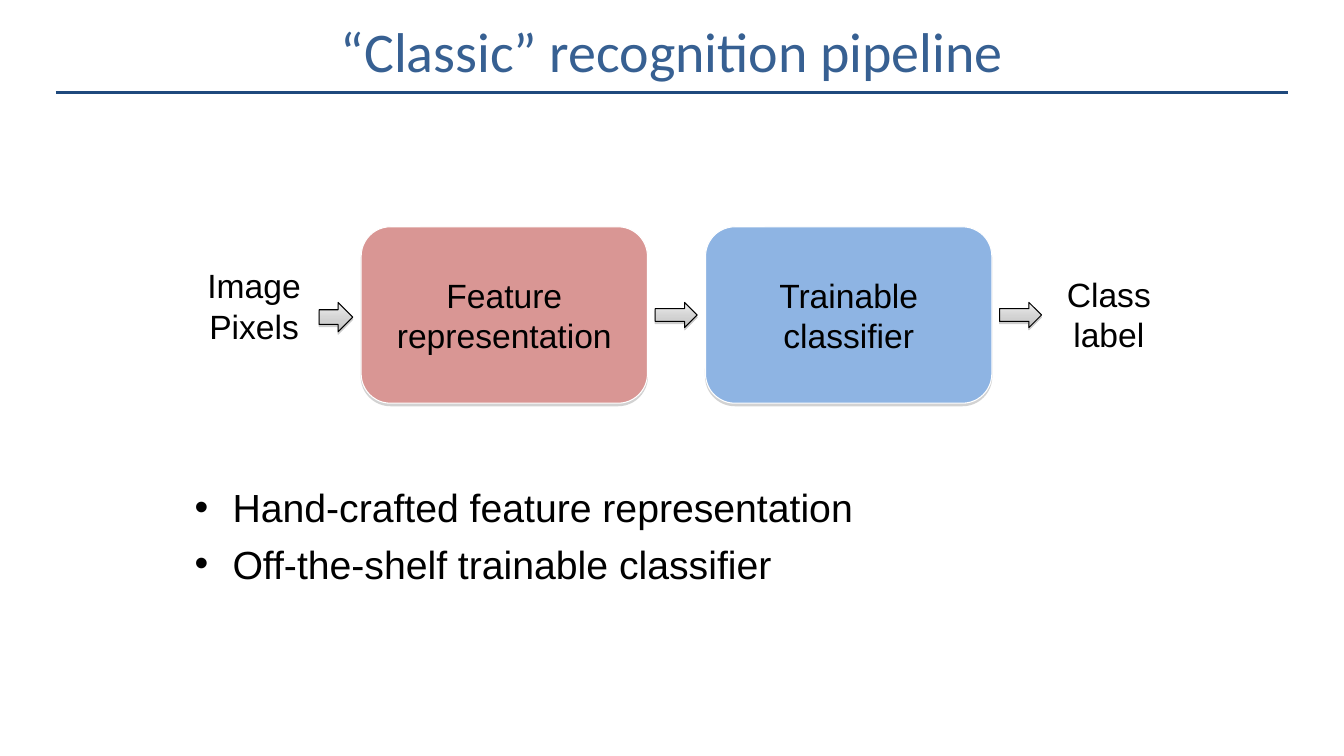
from copy import deepcopy

from lxml.etree import SubElement
from pptx import Presentation
from pptx.dml.color import RGBColor
from pptx.enum.shapes import MSO_CONNECTOR, MSO_SHAPE
from pptx.enum.text import MSO_ANCHOR, PP_ALIGN
from pptx.oxml.ns import qn
from pptx.util import Pt

BLACK = RGBColor(0x00, 0x00, 0x00)
WHITE = RGBColor(0xFF, 0xFF, 0xFF)
TITLE_BLUE = RGBColor(0x37, 0x60, 0x92)
RULE_BLUE = RGBColor(0x1F, 0x49, 0x7D)
FEATURE_RED = RGBColor(0xD9, 0x96, 0x94)
CLASSIFIER_BLUE = RGBColor(0x8E, 0xB4, 0xE3)
ARROW_LIGHT = RGBColor(0xED, 0xED, 0xED)
ARROW_MID = RGBColor(0xD0, 0xD0, 0xD0)
ARROW_DARK = RGBColor(0xBC, 0xBC, 0xBC)
SHADOW_GRAY = RGBColor(0x80, 0x80, 0x80)


def style(paragraph, size, color=BLACK, font="Arial", align=PP_ALIGN.CENTER):
    paragraph.alignment = align
    paragraph.font.size = Pt(size)
    paragraph.font.name = font
    paragraph.font.color.rgb = color


def add_text(slide, left, top, width, height, text):
    box = slide.shapes.add_textbox(Pt(left), Pt(top), Pt(width), Pt(height))
    box.text_frame.word_wrap = True
    box.text_frame.text = text
    return box.text_frame


def drop_shadow(shape, opacity, distance):
    """Cast a sharp gray shadow straight down."""
    shape.shadow.inherit = False
    effects = shape._element.spPr.find(qn("a:effectLst"))
    shadow = SubElement(effects, qn("a:outerShdw"), blurRad="0",
                        dist=str(Pt(distance)), dir="5400000", rotWithShape="0")
    color = SubElement(shadow, qn("a:srgbClr"), val=str(SHADOW_GRAY))
    SubElement(color, qn("a:alpha"), val=str(opacity * 1000))


def add_title(slide, left, top, width, height):
    frame = add_text(slide, left, top, width, height, "“Classic” recognition pipeline")
    frame.vertical_anchor = MSO_ANCHOR.MIDDLE
    style(frame.paragraphs[0], 40, TITLE_BLUE, "Calibri")
    # Rule under the title, slightly wider than its box
    rule_y = Pt(top + height - 6)
    rule = slide.shapes.add_connector(MSO_CONNECTOR.STRAIGHT, Pt(left - 8), rule_y,
                                      Pt(left + width + 8), rule_y)
    rule.line.color.rgb = RULE_BLUE
    rule.line.width = Pt(2.25)
    SubElement(rule._element.spPr, qn("a:effectLst"))


def add_stage(slide, left, top, width, height, text, color):
    stage = slide.shapes.add_shape(MSO_SHAPE.ROUNDED_RECTANGLE,
                                   Pt(left), Pt(top), Pt(width), Pt(height))
    stage.fill.solid()
    stage.fill.fore_color.rgb = color
    stage.line.color.rgb = WHITE
    stage.line.width = Pt(0.75)
    drop_shadow(stage, 35, 1.8)
    stage.text_frame.word_wrap = True
    stage.text_frame.vertical_anchor = MSO_ANCHOR.MIDDLE
    label = stage.text_frame.paragraphs[0]
    label.text = text
    style(label, 24)


def add_arrow(slide, left, top, width, height):
    arrow = slide.shapes.add_shape(MSO_SHAPE.RIGHT_ARROW,
                                   Pt(left), Pt(top), Pt(width), Pt(height))
    arrow.fill.gradient()
    arrow.fill.gradient_angle = 270
    # Three stops: the middle one is added between the default two
    stop_list = arrow._element.spPr.find(".//" + qn("a:gsLst"))
    stop_list.insert(1, deepcopy(stop_list[0]))
    shades = [(0, ARROW_LIGHT), (0.65, ARROW_MID), (1, ARROW_DARK)]
    for stop, (position, shade) in zip(arrow.fill.gradient_stops, shades):
        stop.position = position
        stop.color.rgb = shade
    arrow.line.color.rgb = BLACK
    arrow.line.width = Pt(0.75)
    drop_shadow(arrow, 38, 1.6)


def add_pipeline(slide, left, top):
    # Processing stages
    stage_width, stage_height, stage_pitch = 204.5, 126, 246
    stages = [("Feature representation", FEATURE_RED),
              ("Trainable\nclassifier", CLASSIFIER_BLUE)]
    first_stage = left + 118
    for index, (text, color) in enumerate(stages):
        stage_left = first_stage + index * stage_pitch
        add_stage(slide, stage_left, top, stage_width, stage_height, text, color)
        add_arrow(slide, stage_left + 210, top + 54, 30, 18)
    add_arrow(slide, first_stage - 30, top + 54, 24, 21)
    # Input and output
    ends = [(left, top + 24, 83, "Image\nPixels"),
            (left + 604, top + 30, 96, "Class label")]
    for end_left, end_top, width, text in ends:
        for line in add_text(slide, end_left, end_top, width, 65.5, text).paragraphs:
            style(line, 24)


def add_bullets(slide, left, top, width, height, points):
    frame = add_text(slide, left, top, width, height, "\n".join(points))
    for index, point in enumerate(frame.paragraphs):
        properties = point._p.get_or_add_pPr()
        properties.set("marL", str(Pt(27)))
        properties.set("indent", str(Pt(-27)))
        SubElement(properties, qn("a:buFont"), typeface="Arial")
        SubElement(properties, qn("a:buChar"), char="•")
        style(point, 28, align=PP_ALIGN.LEFT)
        if index:
            point.space_before = Pt(6.4)


def main():
    presentation = Presentation()
    presentation.slide_width = Pt(960)
    presentation.slide_height = Pt(540)
    slide = presentation.slides.add_slide(presentation.slide_layouts[6])
    add_title(slide, 48, 0, 864, 72)
    add_pipeline(slide, 140, 162)
    add_bullets(slide, 132, 342, 696, 132,
                ["Hand-crafted feature representation",
                 "Off-the-shelf trainable classifier"])
    presentation.save("out.pptx")


if __name__ == "__main__":
    main()
